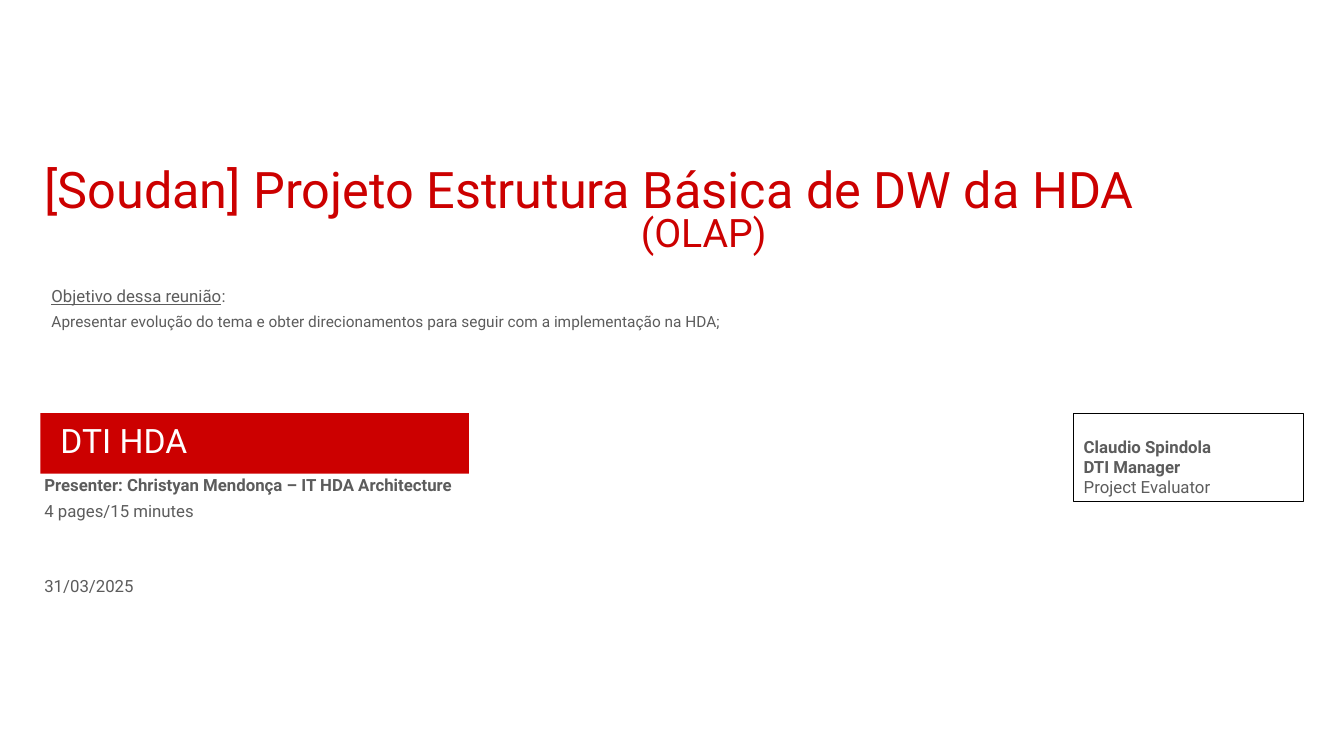
import pptx
import pptx.util
import pptx.dml.color
import pptx.enum.shapes
import pptx.enum.text
from dataclasses import dataclass

Inches, Pt = pptx.util.Inches, pptx.util.Pt
ALIGN = pptx.enum.text.PP_ALIGN
ANCHOR = pptx.enum.text.MSO_ANCHOR


@dataclass(frozen=True)
class Theme:
    font: str = "Roboto"
    red: str = "CC0000"
    grey: str = "5C5C5C"
    white: str = "FFFFFF"
    black: str = "000000"
    title: int = 36
    subtitle: int = 28
    banner: int = 24
    body: int = 12
    small: int = 11


THEME = Theme()

# Content: each paragraph is a dict; runs are (text, underlined)
TITLE = [
    dict(runs=[("[Soudan] Projeto Estrutura Básica de DW da HDA", False)], size=THEME.title),
    dict(runs=[("(OLAP)", False)], size=THEME.subtitle, align=ALIGN.CENTER),
]
OBJECTIVE = [
    dict(runs=[("Objetivo dessa reunião", True), (":", False)]),
    dict(runs=[("Apresentar evolução do tema e obter direcionamentos para seguir "
                "com a implementação na HDA;", False)], size=THEME.small),
]
DEPARTMENT = [dict(runs=[("DTI HDA", False)], size=THEME.banner)]
PRESENTER = [
    dict(runs=[("Presenter: Christyan Mendonça – IT HDA Architecture", False)], bold=True),
    dict(runs=[("4 pages/15 minutes", False)]),
    dict(runs=[("31/03/2025", False)], before=36),
]
EVALUATOR = [
    dict(runs=[("Claudio Spindola", False)], bold=True),
    dict(runs=[("DTI Manager", False)], bold=True),
    dict(runs=[("Project Evaluator", False)]),
]

# Layout: left, top, width, height in inches
LEFT, BAND_TOP, BAND_HEIGHT = 0.4, 4.1, 0.6
TITLE_BOX = (LEFT, 1.64, 13.16, 0.94)
OBJECTIVE_BOX = (0.47, 2.83, 12.25, 0.49)
BAND_BOX = (LEFT, BAND_TOP, 4.25, BAND_HEIGHT)
DEPARTMENT_BOX = (0.56, 4.19, 1.73, 0.42)
PRESENTER_BOX = (LEFT, BAND_TOP + BAND_HEIGHT, 6.14, 1.27)
EVALUATOR_BOX = (10.65, BAND_TOP, 2.28, 0.88)


def rgb(colour):
    return pptx.dml.color.RGBColor.from_string(colour)


def write(frame, paragraphs, colour, spacing=1.0, after=0):
    frame.word_wrap = True
    for index, item in enumerate(paragraphs):
        paragraph = frame.paragraphs[0] if index == 0 else frame.add_paragraph()
        paragraph.alignment = item.get("align", ALIGN.LEFT)
        paragraph.line_spacing = spacing
        paragraph.space_after = Pt(after)
        if "before" in item:
            paragraph.space_before = Pt(item["before"])
        font = paragraph.font
        font.name = THEME.font
        font.size = Pt(item.get("size", THEME.body))
        font.bold = item.get("bold", False)
        font.color.rgb = rgb(colour)
        for text, underlined in item["runs"]:
            run = paragraph.add_run()
            run.text = text
            if underlined:
                run.font.underline = True


def add_text(slide, box, paragraphs, colour, spacing=0.85, after=6):
    frame = slide.shapes.add_textbox(*map(Inches, box)).text_frame
    frame.margin_left = frame.margin_right = Inches(0.04)
    frame.margin_top = frame.margin_bottom = Inches(0.04)
    write(frame, paragraphs, colour, spacing, after)


def add_rectangle(slide, box):
    kind = pptx.enum.shapes.MSO_SHAPE.RECTANGLE
    rectangle = slide.shapes.add_shape(kind, *map(Inches, box))
    rectangle.shadow.inherit = False
    return rectangle


def main():
    deck = pptx.Presentation()
    deck.slide_width, deck.slide_height = Inches(13.33), Inches(7.5)
    slide = deck.slides.add_slide(deck.slide_layouts[6])

    # Title and meeting objective
    add_text(slide, OBJECTIVE_BOX, OBJECTIVE, THEME.grey)
    add_text(slide, TITLE_BOX, TITLE, THEME.red, spacing=0.8, after=0)

    # Department band with presenter details below
    band = add_rectangle(slide, BAND_BOX)
    band.fill.solid()
    band.fill.fore_color.rgb = rgb(THEME.red)
    band.line.fill.background()
    add_text(slide, DEPARTMENT_BOX, DEPARTMENT, THEME.white)
    add_text(slide, PRESENTER_BOX, PRESENTER, THEME.grey)

    # Evaluator box, text resting on its lower edge
    evaluator = add_rectangle(slide, EVALUATOR_BOX)
    evaluator.fill.background()
    evaluator.line.color.rgb = rgb(THEME.black)
    evaluator.line.width = Pt(0.75)
    evaluator.text_frame.vertical_anchor = ANCHOR.BOTTOM
    write(evaluator.text_frame, EVALUATOR, THEME.grey)

    deck.save("out.pptx")


if __name__ == "__main__":
    main()
